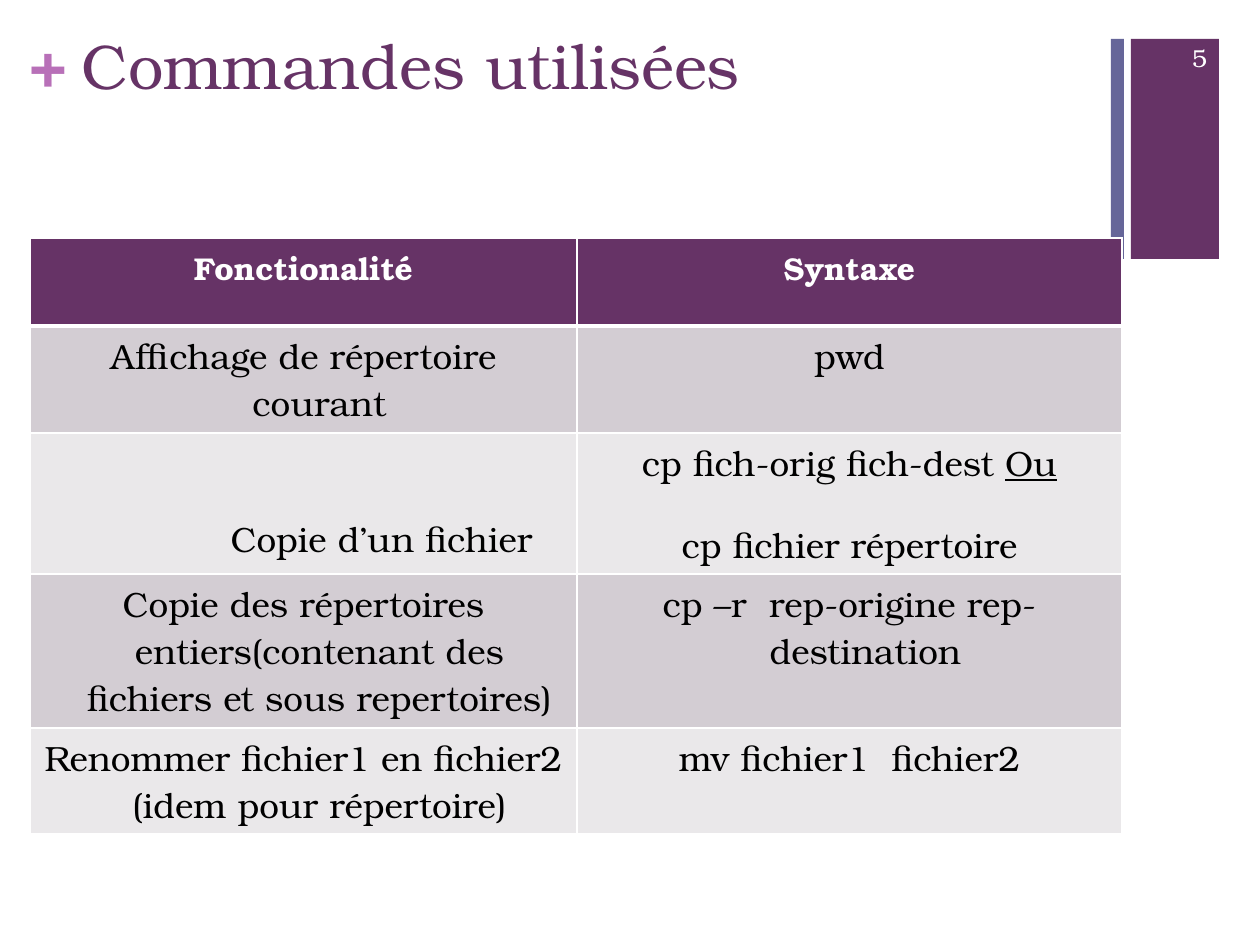
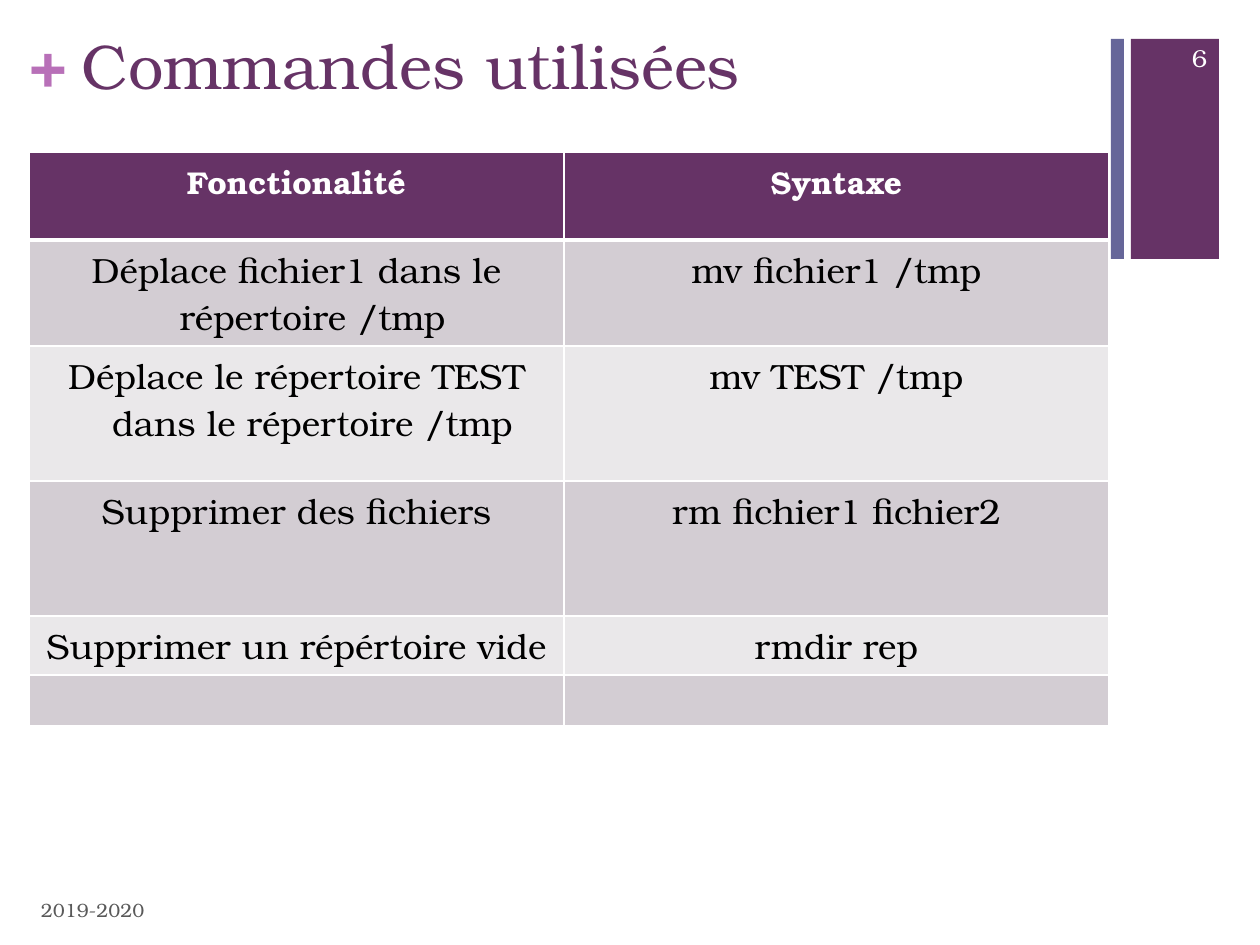
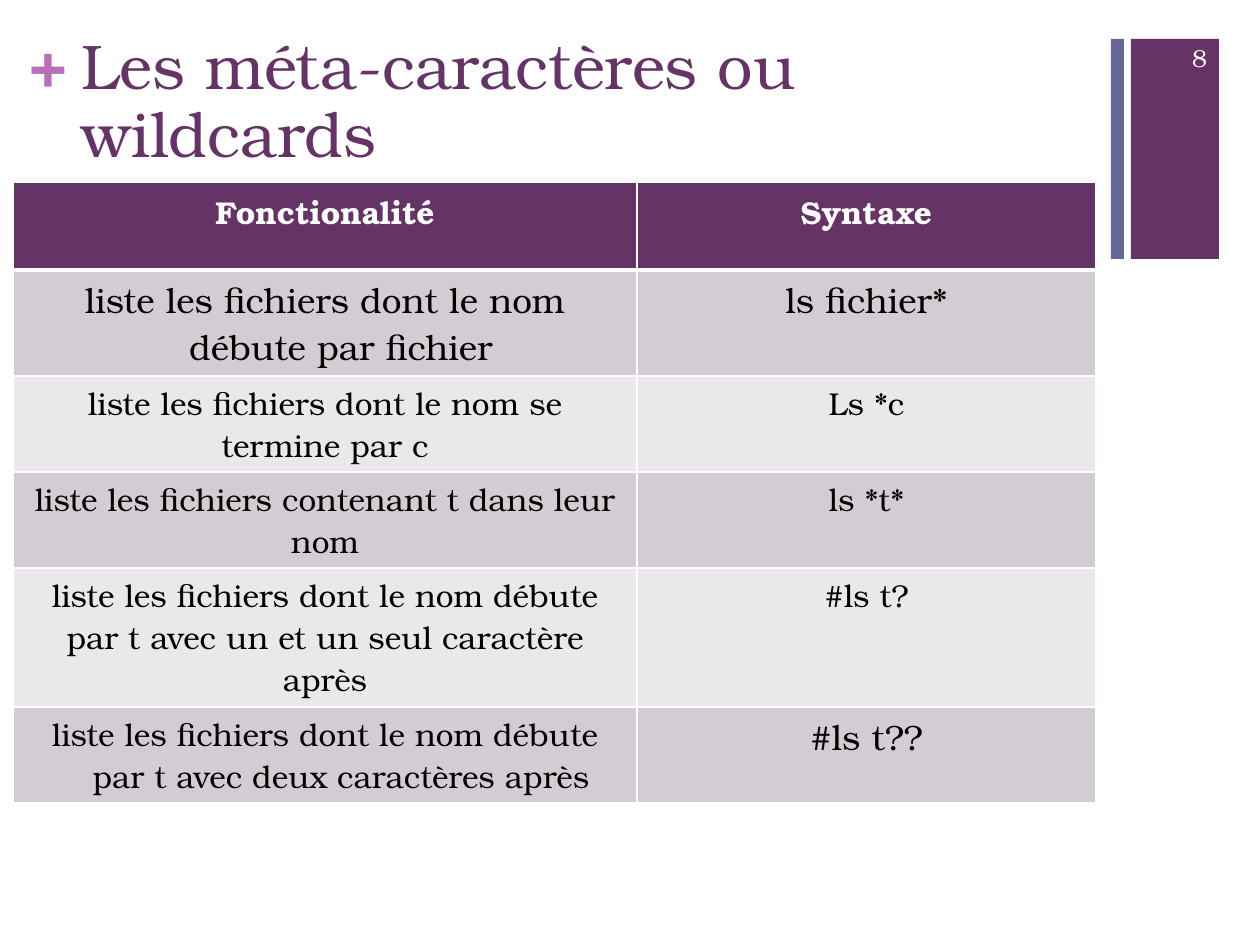
from dataclasses import dataclass

from lxml.etree import SubElement
from pptx import Presentation
from pptx.dml.color import RGBColor
from pptx.enum.shapes import MSO_SHAPE
from pptx.enum.text import MSO_ANCHOR, PP_ALIGN
from pptx.oxml.ns import qn
from pptx.util import Emu, Pt

PX_PER_INCH = 126
FONT = "TeX Gyre Bonum"
HEADERS = ("Fonctionalité", "Syntaxe")
HANGING = 32
CELL_INSET = (13, 6)
THIN, THICK = 1, 3
COLORS = {
    "plum": "663366",
    "orchid": "B870B8",
    "slate": "666699",
    "white": "FFFFFF",
    "black": "000000",
    "grey": "595959",
    "band_dark": "D3CDD3",
    "band_light": "EAE8EA",
}


@dataclass(frozen=True)
class Box:
    left: int
    top: int
    width: int
    height: int


@dataclass(frozen=True)
class Label:
    box: Box
    size: int
    color: str
    bold: bool = False
    align: PP_ALIGN = PP_ALIGN.LEFT
    anchor: MSO_ANCHOR = MSO_ANCHOR.TOP
    line_spacing: float = 1.0
    inset: tuple[int, int] = CELL_INSET


@dataclass(frozen=True)
class Entry:
    text: str
    size: int = 20
    hanging: bool = True
    underlined: str = ""
    shift_right: int = 0
    shift_down: int = 0
    color: str = "black"
    bold: bool = False


@dataclass(frozen=True)
class Row:
    height: int
    function: Entry
    syntax: Entry


@dataclass(frozen=True)
class CommandSlide:
    title: str
    number: int
    left: int
    top: int
    columns: tuple[int, int]
    rows: tuple[Row, ...]
    footer: str = ""


TITLE = Label(Box(69, 29, 1041, 154), 36, "plum", line_spacing=0.9)
PLUS = Label(Box(30, 32, 35, 76), 36, "orchid", bold=True, line_spacing=0.9, inset=(0, 0))
NUMBER = Label(Box(1144, 33, 76, 50), 14, "white", align=PP_ALIGN.RIGHT, anchor=MSO_ANCHOR.MIDDLE)
FOOTER = Label(Box(28, 885, 843, 50), 11, "grey", anchor=MSO_ANCHOR.MIDDLE)
BARS = ((Box(1131, 39, 88, 220), "plum"), (Box(1111, 39, 13, 220), "slate"))


def small(text: str, hanging: bool = False) -> Entry:
    return Entry(text, 18, hanging)


HEADER_ROW = Row(88, *(Entry(text, 18, False, color="white", bold=True) for text in HEADERS))

SLIDES = (
    CommandSlide("Commandes utilisées", 5, 30, 238, (547, 545), (
        Row(107, Entry("Affichage de répertoire courant"), Entry("pwd")),
        Row(141, Entry("Copie d’un fichier", shift_right=156, shift_down=76),
            Entry("cp fich-orig fich-dest \ncp fichier répertoire", underlined="Ou")),
        Row(154, Entry("Copie des répertoires entiers(contenant des fichiers et sous repertoires)"),
            Entry("cp –r  rep-origine rep-destination")),
        Row(106, Entry("Renommer fichier1 en fichier2 (idem pour répertoire)"),
            Entry("mv fichier1  fichier2")),
    )),
    CommandSlide("Commandes utilisées", 6, 29, 152, (535, 545), (
        Row(106, Entry("Déplace fichier1 dans le répertoire /tmp"), Entry("mv fichier1 /tmp")),
        Row(135, Entry("Déplace le répertoire TEST dans le répertoire /tmp"), Entry("mv TEST /tmp")),
        Row(135, Entry("Supprimer des fichiers"), Entry("rm fichier1 fichier2")),
        Row(59, Entry("Supprimer un répértoire vide"), Entry("rmdir rep")),
        Row(51, small(""), small("")),
    ), "2019-2020"),
    CommandSlide("Les méta-caractères ou wildcards", 8, 13, 182, (624, 459), (
        Row(106, Entry("liste les fichiers dont le nom débute par fichier"), Entry("ls fichier*")),
        Row(96, small("liste les fichiers dont le nom se termine par c"), small("Ls *c")),
        Row(96, small("liste les fichiers contenant t dans leur nom"), small("ls *t*")),
        Row(139, small("liste les fichiers dont le nom débute par t avec un et un seul caractère après"),
            small("#ls t?")),
        Row(96, small("liste les fichiers dont le nom débute par t avec deux caractères après", True),
            Entry("#ls t??")),
    )),
)


def px(value: int) -> Emu:
    return Emu(round(value * 914400 / PX_PER_INCH))


def place(box: Box) -> tuple[Emu, Emu, Emu, Emu]:
    return px(box.left), px(box.top), px(box.width), px(box.height)


def rgb(name: str) -> RGBColor:
    return RGBColor.from_string(COLORS[name])


def style_run(run, size: int, color: str, bold: bool) -> None:
    run.font.name = FONT
    run.font.size = Pt(size)
    run.font.bold = bold
    run.font.color.rgb = rgb(color)


def add_bar(slide, box: Box, color: str) -> None:
    shape = slide.shapes.add_shape(MSO_SHAPE.RECTANGLE, *place(box))
    shape.shadow.inherit = False
    shape.fill.solid()
    shape.fill.fore_color.rgb = rgb(color)
    shape.line.fill.background()


def add_label(slide, label: Label, text: str) -> None:
    text_frame = slide.shapes.add_textbox(*place(label.box)).text_frame
    text_frame.word_wrap = True
    text_frame.vertical_anchor = label.anchor
    text_frame.margin_left = text_frame.margin_right = px(label.inset[0])
    text_frame.margin_top = text_frame.margin_bottom = px(label.inset[1])
    text_frame.text = text
    paragraph = text_frame.paragraphs[0]
    paragraph.alignment = label.align
    paragraph.line_spacing = label.line_spacing
    style_run(paragraph.runs[0], label.size, label.color, label.bold)


def set_borders(cell, top: int, bottom: int) -> None:
    properties = cell._tc.get_or_add_tcPr()
    for side, width in (("L", THIN), ("R", THIN), ("T", top), ("B", bottom)):
        line = SubElement(properties, qn(f"a:ln{side}"), w=str(Pt(width)))
        fill = SubElement(line, qn("a:solidFill"))
        SubElement(fill, qn("a:srgbClr"), val=COLORS["white"])


def fill_cell(cell, entry: Entry, color: str) -> None:
    cell.fill.solid()
    cell.fill.fore_color.rgb = rgb(color)
    cell.margin_left = px(CELL_INSET[0] + entry.shift_right)
    cell.margin_right = px(CELL_INSET[0])
    cell.margin_top = px(CELL_INSET[1] + entry.shift_down)
    cell.margin_bottom = px(CELL_INSET[1])
    cell.text_frame.text = entry.text
    for index, paragraph in enumerate(cell.text_frame.paragraphs):
        paragraph.alignment = PP_ALIGN.CENTER
        if index:
            paragraph.space_before = Pt(20)
        if entry.hanging:
            properties = paragraph._p.get_or_add_pPr()
            properties.set("marL", str(px(HANGING)))
            properties.set("indent", str(-px(HANGING)))
        if entry.underlined and not index:
            run = paragraph.add_run()
            run.text = entry.underlined
            run.font.underline = True
        for run in paragraph.runs:
            style_run(run, entry.size, entry.color, entry.bold)


def add_command_table(slide, content: CommandSlide) -> None:
    rows = (HEADER_ROW, *content.rows)
    box = Box(content.left, content.top, sum(content.columns), sum(row.height for row in rows))
    table = slide.shapes.add_table(len(rows), len(content.columns), *place(box)).table
    table.first_row = table.horz_banding = False
    for column, width in zip(table.columns, content.columns):
        column.width = px(width)
    for index, row in enumerate(rows):
        table.rows[index].height = px(row.height)
        band = "band_dark" if index % 2 else "band_light"
        for column, entry in enumerate((row.function, row.syntax)):
            cell = table.cell(index, column)
            set_borders(cell, THICK if index == 1 else THIN, THICK if index == 0 else THIN)
            fill_cell(cell, entry, band if index else "plum")


def add_command_slide(presentation, content: CommandSlide) -> None:
    slide = presentation.slides.add_slide(presentation.slide_layouts[6])
    for box, color in BARS:
        add_bar(slide, box, color)
    add_label(slide, PLUS, "+")
    add_label(slide, TITLE, content.title)
    add_command_table(slide, content)
    if content.footer:
        add_label(slide, FOOTER, content.footer)
    add_label(slide, NUMBER, str(content.number))


def main() -> None:
    presentation = Presentation()
    presentation.slide_width = px(1260)
    presentation.slide_height = px(945)
    for content in SLIDES:
        add_command_slide(presentation, content)
    presentation.save("out.pptx")


if __name__ == "__main__":
    main()
